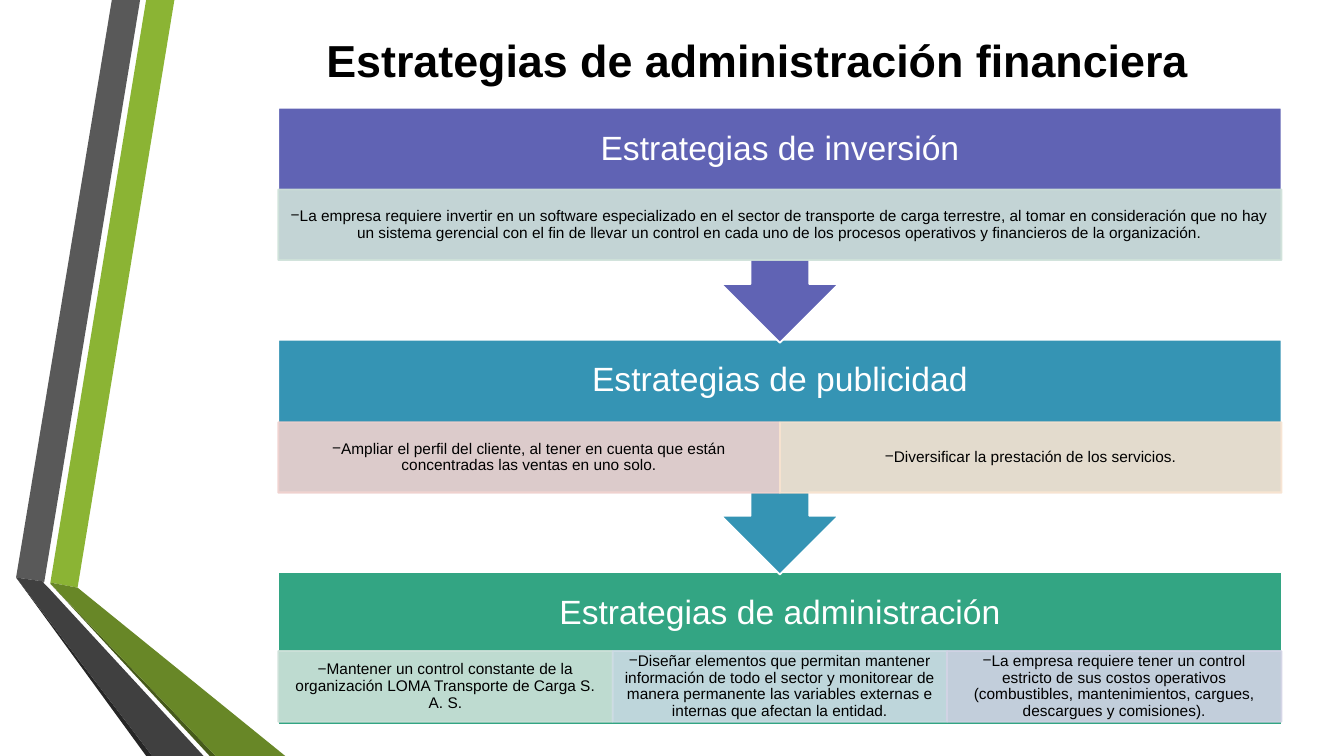
from lxml import etree
from pptx import Presentation
from pptx.dml.color import RGBColor
from pptx.enum.shapes import MSO_SHAPE
from pptx.enum.text import MSO_ANCHOR, PP_ALIGN
from pptx.oxml.ns import qn
from pptx.util import Pt

PX = 9144  # 100 px to the inch
SLIDE_W, SLIDE_H = 1333, 750
RECT = MSO_SHAPE.RECTANGLE
CALLOUT = MSO_SHAPE.UP_ARROW_CALLOUT
CENTER = PP_ALIGN.CENTER
MIDDLE = MSO_ANCHOR.MIDDLE

TITLE = "Estrategias de administración financiera"
BAND_X, BAND_W = 276, 995
HEADER_H, CELL_H = 82, 70
TITLE_FORMAT = {"size": Pt(32), "bold": True}
HEADER_FORMAT = {"size": Pt(24)}
CELL_FORMAT = {"size": Pt(11)}

RIBBONS = [
    ("8BB434", [(50, 578), (77, 583), (173, 0), (145, 0)]),
    ("595959", [(139, 0), (111, 0), (16, 573), (44, 577)]),
    ("262626", [(16, 573), (145, 750), (151, 750)]),
    ("465A1A", [(50, 579), (208, 750), (214, 750)]),
    ("688727", [(50, 579), (214, 750), (283, 750), (77, 583), (50, 578)]),
    ("404040", [(202, 750), (48, 583), (43, 578), (44, 577), (16, 573), (151, 750)]),
]

# Back to front: preset, rotation, top, height, cell top, fill, heading, cells
STRATEGIES = [
    (RECT, 0, 568, 151, 646, "33A583", "Estrategias de administración", [
        ("CEE1D9", "Mantener un control constante de la organización LOMA "
                   "Transporte de Carga S. A. S."),
        ("CEDCE5", "Diseñar elementos que permitan mantener información de todo el "
                   "sector y monitorear de manera permanente las variables externas "
                   "e internas que afectan la entidad."),
        ("D2D3E5", "La empresa requiere tener un control estricto de sus costos "
                   "operativos (combustibles, mantenimientos, cargues, descargues "
                   "y comisiones)."),
    ]),
    (CALLOUT, 180, 337, 233, 419, "3594B4", "Estrategias de publicidad", [
        ("EFD1CE", "Ampliar el perfil del cliente, al tener en cuenta que están "
                   "concentradas las ventas en uno solo."),
        ("F7E3D0", "Diversificar la prestación de los servicios."),
    ]),
    (CALLOUT, 180, 107, 233, 188, "6063B4", "Estrategias de inversión", [
        ("CEE1D9", "La empresa requiere invertir en un software especializado en el "
                   "sector de transporte de carga terrestre, al tomar en "
                   "consideración que no hay un sistema gerencial con el fin de "
                   "llevar un control en cada uno de los procesos operativos y "
                   "financieros de la organización."),
    ]),
]


def rgb(color):
    return RGBColor.from_string(color)


def emu(*lengths):
    return [round(length * PX) for length in lengths]


def paint(shape, fill, line=None, alpha=None):
    shape.shadow.inherit = False
    shape.fill.solid()
    shape.fill.fore_color.rgb = rgb(fill)
    if line is None:
        shape.line.fill.background()
    else:
        shape.line.color.rgb = rgb(line)
        shape.line.width = Pt(1.25)
    if alpha is not None:
        for color in shape.element.spPr.iter(qn("a:srgbClr")):
            etree.SubElement(color, qn("a:alpha"), val=str(alpha * 1000))


def write(shape, text, color, font_format, inset_x, inset_y, bullet=None, spacing=0.9):
    frame = shape.text_frame
    margin_x, margin_y = emu(inset_x, inset_y)
    settings = {"word_wrap": True, "vertical_anchor": MIDDLE,
                "margin_left": margin_x, "margin_right": margin_x,
                "margin_top": margin_y, "margin_bottom": margin_y}
    for name, value in settings.items():
        setattr(frame, name, value)
    paragraph = frame.paragraphs[0]
    paragraph.alignment = CENTER
    paragraph.line_spacing = spacing
    if bullet:
        properties = paragraph._p.get_or_add_pPr()
        properties.set("marL", "0")
        properties.set("indent", "0")
        etree.SubElement(properties, qn("a:buFont"), typeface="Arial")
        etree.SubElement(properties, qn("a:buChar"), char=bullet)
    run = paragraph.add_run()
    run.text = text
    run.font.color.rgb = rgb(color)
    for name, value in {"name": "Arial", **font_format}.items():
        setattr(run.font, name, value)


def add_ribbons(slide):
    for color, (start, *others) in RIBBONS:
        builder = slide.shapes.build_freeform(*start, scale=PX)
        builder.add_line_segments(others, close=True)
        paint(builder.convert_to_shape(), color)


def add_title(slide, x, y, w, h):
    title = slide.shapes.add_textbox(*emu(x, y, w, h))
    write(title, TITLE, "000000", TITLE_FORMAT, 10, 5, spacing=1.0)


def add_cells(slide, x, y, w, h, cells):
    cell_w = w / len(cells)
    for column, (color, text) in enumerate(cells):
        cell = slide.shapes.add_shape(RECT, *emu(x + column * cell_w, y, cell_w, h))
        paint(cell, color, color, alpha=90)
        write(cell, text, "000000", CELL_FORMAT, 9, 2, bullet="−")


def add_strategy(slide, x, w, strategy):
    preset, rotation, top, height, cell_top, color, heading, cells = strategy
    band = slide.shapes.add_shape(preset, *emu(x, top, w, height))
    band.rotation = rotation
    paint(band, color, "FFFFFF")
    header = slide.shapes.add_textbox(*emu(x, top, w, HEADER_H))
    write(header, heading, "FFFFFF", HEADER_FORMAT, 19, 19)
    add_cells(slide, x, cell_top, w, CELL_H, cells)


def main():
    presentation = Presentation()
    presentation.slide_width, presentation.slide_height = emu(SLIDE_W, SLIDE_H)
    slide = presentation.slides.add_slide(presentation.slide_layouts[6])
    add_ribbons(slide)
    add_title(slide, 179, 11, 1145, 96)
    for strategy in STRATEGIES:
        add_strategy(slide, BAND_X, BAND_W, strategy)
    presentation.save("out.pptx")


if __name__ == "__main__":
    main()
